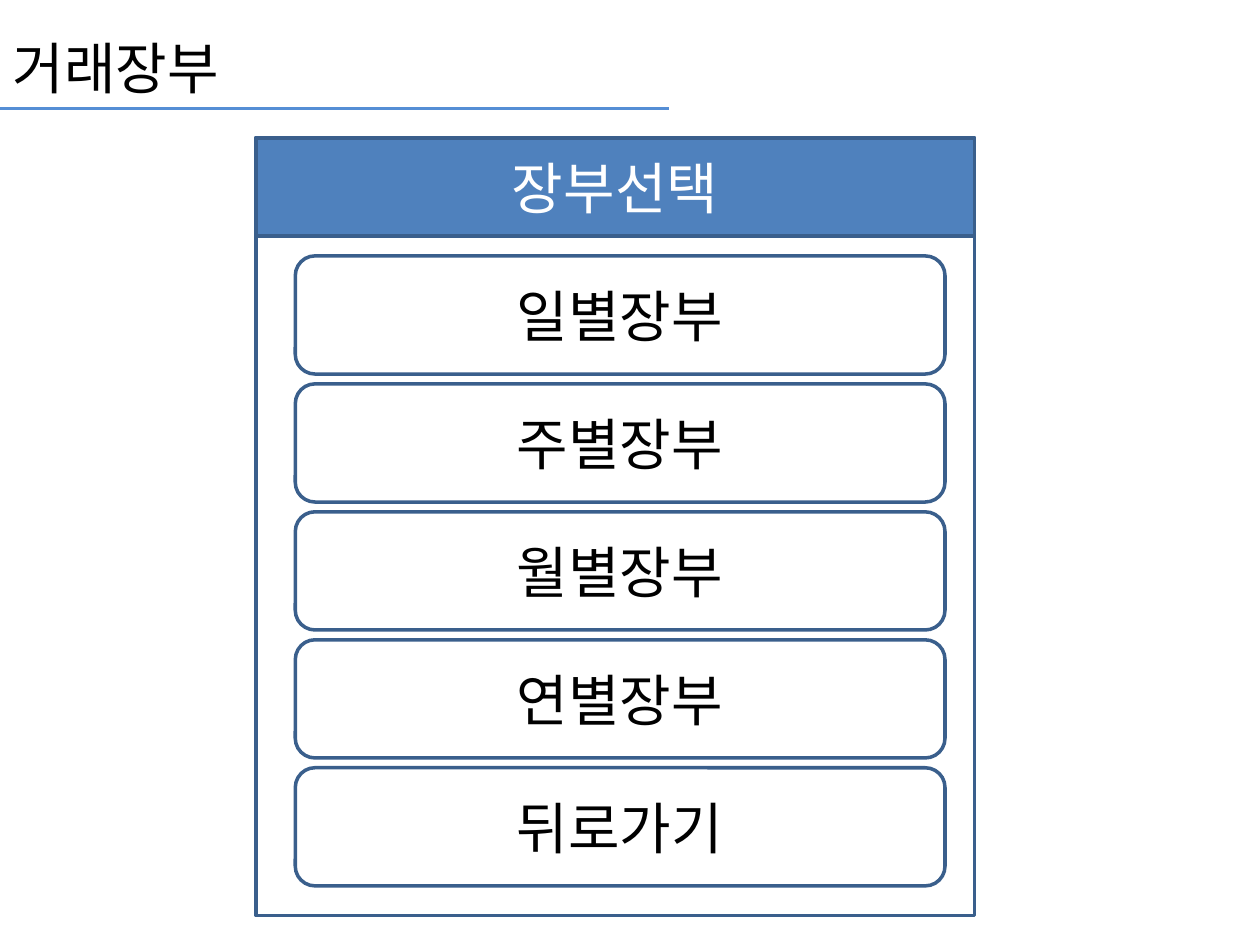
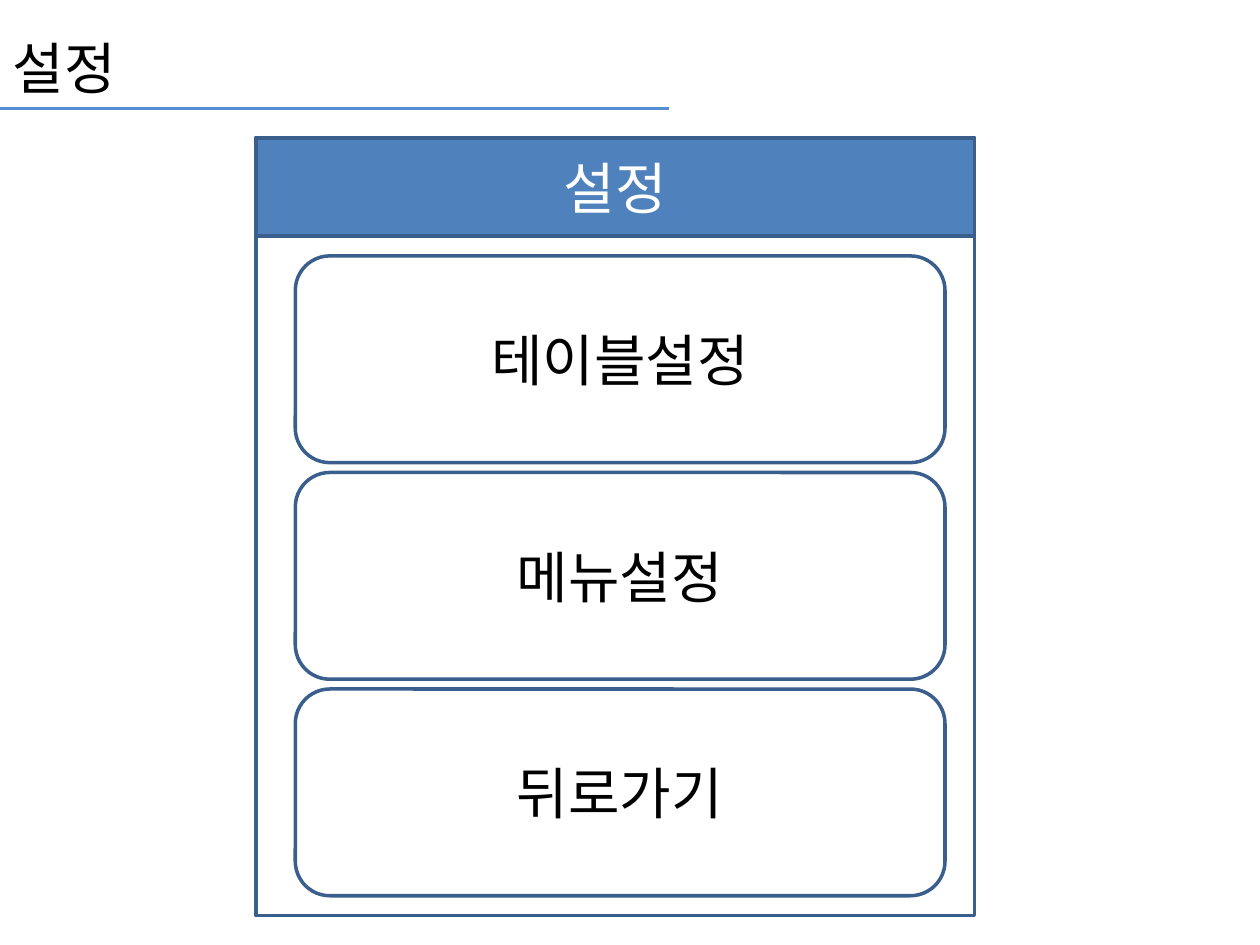
from lxml import etree
from pptx import Presentation
from pptx import util as u
from pptx.dml.color import RGBColor
from pptx.enum import shapes, text
from pptx.oxml import ns

# Content: slide title, panel heading, button height, button labels
MENUS = [
    ("거래장부", "장부선택", 67.5,
     ["일별장부", "주별장부", "월별장부", "연별장부", "뒤로가기"]),
    ("설정", "설정", 118.12,
     ["테이블설정", "메뉴설정", "뒤로가기"]),
]

FONT = "Noto Sans CJK KR"
FONT_SIZE = 32
BLACK = RGBColor(0x00, 0x00, 0x00)
WHITE = RGBColor(0xFF, 0xFF, 0xFF)
HEADER_BLUE = RGBColor(0x4F, 0x81, 0xBD)
BORDER_BLUE = RGBColor(0x3A, 0x5F, 0x8C)
RULE_BLUE = RGBColor(0x55, 0x8E, 0xD5)

# Geometry in points
SLIDE_W, SLIDE_H = 720, 540
TITLE_H = 57.6
RULE_Y, RULE_W = 61.9, 382.5
PANEL_X, PANEL_Y, PANEL_W, PANEL_H = 146.25, 78.75, 410.62, 444.38
HEADER_H = 56.25
BUTTON_X, BUTTON_Y, BUTTON_W = 168.75, 146.25, 371.25
BUTTON_GAP = 5.62
LINE_W = 2


def write(shape, words, color, align):
    """Put one line of styled Korean text into a shape."""
    frame = shape.text_frame
    frame.word_wrap = True
    frame.vertical_anchor = text.MSO_ANCHOR.MIDDLE
    paragraph = frame.paragraphs[0]
    paragraph.text = words
    paragraph.alignment = align
    font = paragraph.font
    font.name, font.size, font.bold = FONT, u.Pt(FONT_SIZE), False
    font.color.rgb = color
    latin = paragraph.font._element.find(ns.qn("a:latin"))
    east_asian = etree.Element(ns.qn("a:ea"), typeface=FONT)
    latin.addnext(east_asian)
    return paragraph


def add_box(slide, kind, left, top, width, height, fill=None):
    """Add an outlined shape, unfilled unless a fill is given."""
    box = slide.shapes.add_shape(
        kind, u.Pt(left), u.Pt(top), u.Pt(width), u.Pt(height))
    box.shadow.inherit = False
    if fill is None:
        box.fill.background()
    else:
        box.fill.solid()
        box.fill.fore_color.rgb = fill
    box.line.color.rgb = BORDER_BLUE
    box.line.width = u.Pt(LINE_W)
    return box


def add_title(slide, words):
    """Place the slide title at the top left."""
    title = slide.shapes.title
    title.left, title.top = u.Pt(0), u.Pt(0)
    title.width, title.height = u.Pt(SLIDE_W), u.Pt(TITLE_H)
    paragraph = write(title, words, BLACK, text.PP_ALIGN.LEFT)
    paragraph.line_spacing = 1.5
    title.text_frame.auto_size = text.MSO_AUTO_SIZE.SHAPE_TO_FIT_TEXT


def add_frame(slide):
    """Draw the title rule and the panel outline that all slides share."""
    rule = slide.shapes.add_connector(
        shapes.MSO_CONNECTOR.STRAIGHT,
        u.Pt(0), u.Pt(RULE_Y), u.Pt(RULE_W), u.Pt(RULE_Y))
    rule.line.color.rgb = RULE_BLUE
    rule.line.width = u.Pt(LINE_W)
    etree.SubElement(rule.element.spPr, ns.qn("a:effectLst"))
    add_box(slide, shapes.MSO_SHAPE.RECTANGLE,
            PANEL_X, PANEL_Y, PANEL_W, PANEL_H)


def add_menu(slide, heading, button_height, labels):
    """Add the panel header and its stack of equal buttons."""
    header = add_box(slide, shapes.MSO_SHAPE.RECTANGLE,
                     PANEL_X, PANEL_Y, PANEL_W, HEADER_H, HEADER_BLUE)
    write(header, heading, WHITE, text.PP_ALIGN.CENTER)
    for row, label in enumerate(labels):
        top = BUTTON_Y + row * (button_height + BUTTON_GAP)
        button = add_box(slide, shapes.MSO_SHAPE.ROUNDED_RECTANGLE,
                         BUTTON_X, top, BUTTON_W, button_height)
        write(button, label, BLACK, text.PP_ALIGN.CENTER)


deck = Presentation()
deck.slide_width, deck.slide_height = u.Pt(SLIDE_W), u.Pt(SLIDE_H)
title_only = deck.slide_layouts[5]
for title_words, heading, button_height, labels in MENUS:
    slide = deck.slides.add_slide(title_only)
    add_frame(slide)
    add_title(slide, title_words)
    add_menu(slide, heading, button_height, labels)
deck.save("out.pptx")
